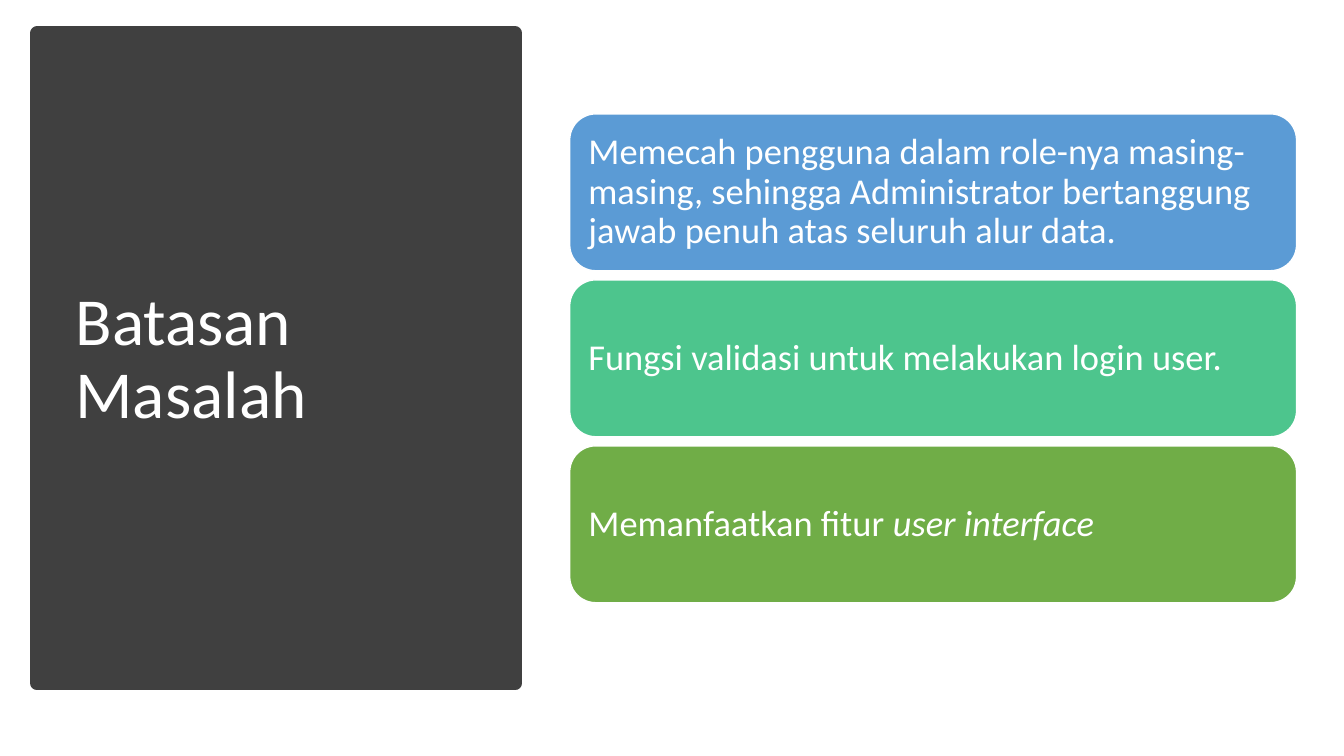
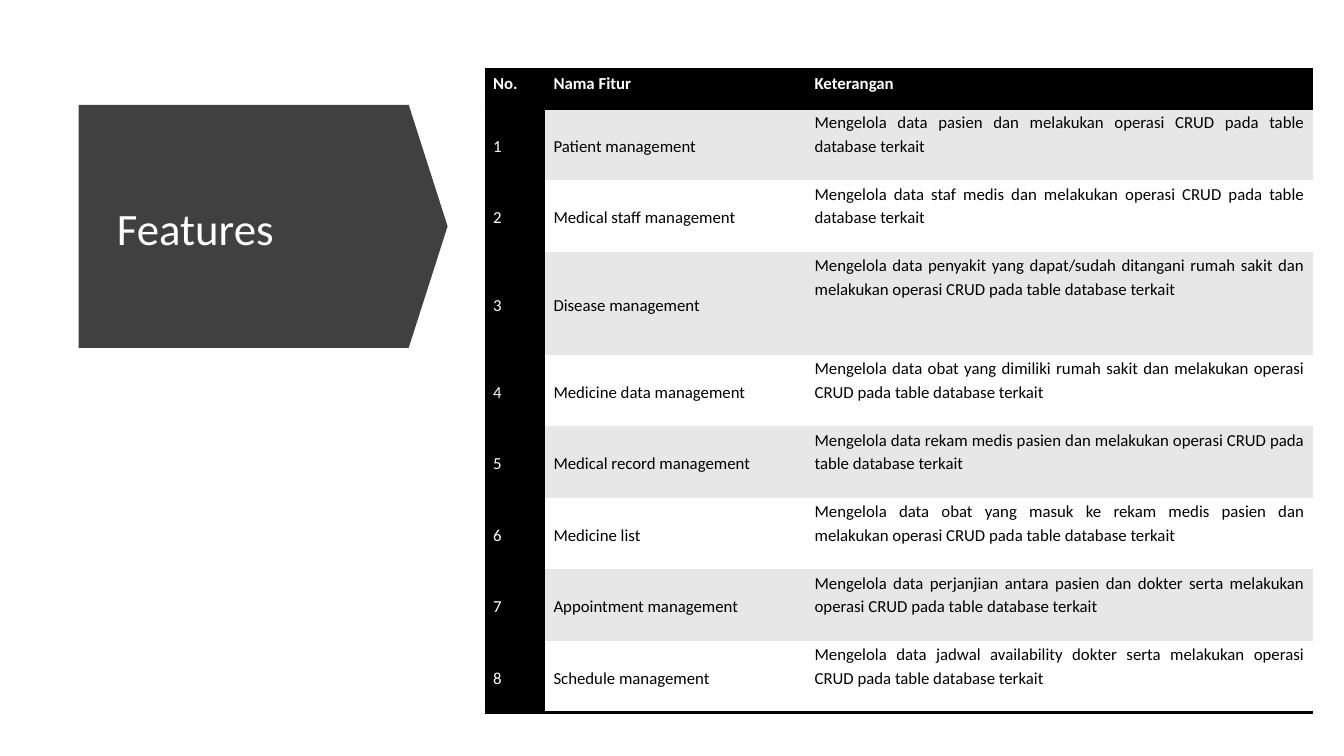
"""Build two slides: the problem limits as cards and the features as a table."""
from lxml import etree
from pptx import Presentation
from pptx.dml.color import RGBColor
from pptx.enum.shapes import MSO_SHAPE
from pptx.enum.text import MSO_ANCHOR, PP_ALIGN
from pptx.oxml.ns import qn
from pptx.util import Inches, Pt

RECTANGLE, ROUNDED, PENTAGON = MSO_SHAPE.RECTANGLE, MSO_SHAPE.ROUNDED_RECTANGLE, MSO_SHAPE.PENTAGON
TOP, MIDDLE = MSO_ANCHOR.TOP, MSO_ANCHOR.MIDDLE
LEFT, JUSTIFY = PP_ALIGN.LEFT, PP_ALIGN.JUSTIFY

CHARCOAL = RGBColor(0x40, 0x40, 0x40)
BLUE = RGBColor(0x5B, 0x9B, 0xD5)
TEAL = RGBColor(0x4D, 0xC5, 0x8D)
GREEN = RGBColor(0x70, 0xAD, 0x47)
GRAY = RGBColor(0xE7, 0xE7, 0xE7)
BLACK = RGBColor(0, 0, 0)
WHITE = RGBColor(0xFF, 0xFF, 0xFF)
FONT = "Calibri"
NO_GRID_STYLE = "{2D5ABB26-0587-4C30-8999-92F81FD0307C}"

LIMITS_TITLE = "Batasan Masalah"
LIMITS = [
    (BLUE, "Memecah pengguna dalam role-nya masing-masing, sehingga Administrator "
           "bertanggung jawab penuh atas seluruh alur data.", ""),
    (TEAL, "Fungsi validasi untuk melakukan login user.", ""),
    (GREEN, "Memanfaatkan fitur ", "user interface"),
]
FEATURES_TITLE = "Features"
HEADINGS = ("No.", "Nama Fitur", "Keterangan")
FEATURES = [
    ("Patient management",
     "Mengelola data pasien dan melakukan operasi CRUD pada table database terkait"),
    ("Medical staff management",
     "Mengelola data staf medis dan melakukan operasi CRUD pada table database terkait"),
    ("Disease management",
     "Mengelola data penyakit yang dapat/sudah ditangani rumah sakit dan melakukan "
     "operasi CRUD pada table database terkait"),
    ("Medicine data management",
     "Mengelola data obat yang dimiliki rumah sakit dan melakukan operasi CRUD pada "
     "table database terkait"),
    ("Medical record management",
     "Mengelola data rekam medis pasien dan melakukan operasi CRUD pada table database terkait"),
    ("Medicine list",
     "Mengelola data obat yang masuk ke rekam medis pasien dan melakukan operasi CRUD "
     "pada table database terkait"),
    ("Appointment management",
     "Mengelola data perjanjian antara pasien dan dokter serta melakukan operasi CRUD "
     "pada table database terkait"),
    ("Schedule management",
     "Mengelola data jadwal availability dokter serta melakukan operasi CRUD pada "
     "table database terkait"),
]

CARDS_LEFT, CARDS_TOP, CARDS_WIDTH, CARDS_HEIGHT, CARD_GAP = 5.65, 1.13, 7.21, 4.85, 0.09
TABLE_BOX = (4.81, 0.69, 8.21, 6.35)
COLUMNS = (0.6, 2.59, 5.02)
HEADER_ROW, FEATURE_ROW, TALL_ROW = 0.39, 0.71, 1.02
TALL_FEATURE = "Disease management"


def set_margins(target, margins):
    sides = ("margin_left", "margin_top", "margin_right", "margin_bottom")
    for side, margin in zip(sides, margins):
        setattr(target, side, Inches(margin))


def style_paragraph(paragraph, size, color, spacing, align=LEFT, bold=False):
    paragraph.alignment = align
    paragraph.line_spacing = spacing
    for run in paragraph.runs:
        run.font.name = FONT
        run.font.size = Pt(size)
        run.font.bold = bold
        run.font.color.rgb = color


def add_block(slide, kind, box, fill, text, size, margins, outline=None, italic_end=""):
    block = slide.shapes.add_shape(kind, *map(Inches, box))
    block.shadow.inherit = False
    block.fill.solid()
    block.fill.fore_color.rgb = fill
    if outline:
        block.line.color.rgb, block.line.width = outline
    else:
        block.line.fill.background()
    frame = block.text_frame
    frame.word_wrap = True
    frame.vertical_anchor = MIDDLE
    set_margins(frame, margins)
    frame.text = text
    paragraph = frame.paragraphs[0]
    if italic_end:
        ending = paragraph.add_run()
        ending.text = italic_end
        ending.font.italic = True
    style_paragraph(paragraph, size, WHITE, 0.9)
    return block


def add_borders(cell, sides):
    properties = cell._tc.get_or_add_tcPr()
    for position, side in enumerate(sides):
        border = etree.Element(qn("a:" + side), w=str(Pt(2)))
        fill = etree.SubElement(border, qn("a:solidFill"))
        etree.SubElement(fill, qn("a:srgbClr"), val=str(BLACK))
        properties.insert(position, border)


def fill_cell(cell, text, fill, color, anchor, align, bold):
    cell.text = text
    cell.fill.solid()
    cell.fill.fore_color.rgb = fill
    cell.vertical_anchor = anchor
    set_margins(cell, (0.08, 0.01, 0.08, 0))
    style_paragraph(cell.text_frame.paragraphs[0], 12, color, 1.15, align, bold)


def build_limits(slide):
    add_block(slide, RECTANGLE, (0.37, 0.33, 4.74, 6.45), CHARCOAL, LIMITS_TITLE, 48,
              (0.38, 0.04, 0.4, 0), (CHARCOAL, Pt(10)))
    height = (CARDS_HEIGHT - CARD_GAP * (len(LIMITS) - 1)) / len(LIMITS)
    for index, (color, text, italic_end) in enumerate(LIMITS):
        box = (CARDS_LEFT, CARDS_TOP + index * (height + CARD_GAP), CARDS_WIDTH, height)
        add_block(slide, ROUNDED, box, color, text, 26, (0.11,) * 4, (WHITE, Pt(1)), italic_end)


def build_features(slide):
    banner = add_block(slide, PENTAGON, (0.78, 1.04, 3.66, 2.41), CHARCOAL, FEATURES_TITLE, 32,
                       (0.38, 0.1, 0.1, 0))
    banner.adjustments[0] = 0.16

    rows = [HEADINGS] + [(str(number), *feature) for number, feature in enumerate(FEATURES, 1)]
    table = slide.shapes.add_table(len(rows), len(HEADINGS), *map(Inches, TABLE_BOX)).table
    table._tbl.tblPr.find(qn("a:tableStyleId")).text = NO_GRID_STYLE
    for column, width in zip(table.columns, COLUMNS):
        column.width = Inches(width)
    for r, row in enumerate(rows):
        header = r == 0
        height = HEADER_ROW if header else TALL_ROW if row[1] == TALL_FEATURE else FEATURE_ROW
        table.rows[r].height = Inches(height)
        for c, text in enumerate(row):
            dark = header or c == 0
            fill = BLACK if dark else GRAY if r % 2 else WHITE
            cell = table.cell(r, c)
            fill_cell(cell, text, fill, WHITE if dark else BLACK,
                      TOP if header or c == 2 else MIDDLE,
                      LEFT if c == 1 and not header else JUSTIFY, header)
            if header:
                add_borders(cell, ("lnT", "lnB"))
            elif r == len(rows) - 1:
                add_borders(cell, ("lnB",))


deck = Presentation()
deck.slide_width, deck.slide_height = Inches(13.33), Inches(7.5)
for build in (build_limits, build_features):
    build(deck.slides.add_slide(deck.slide_layouts[6]))
deck.save("out.pptx")
